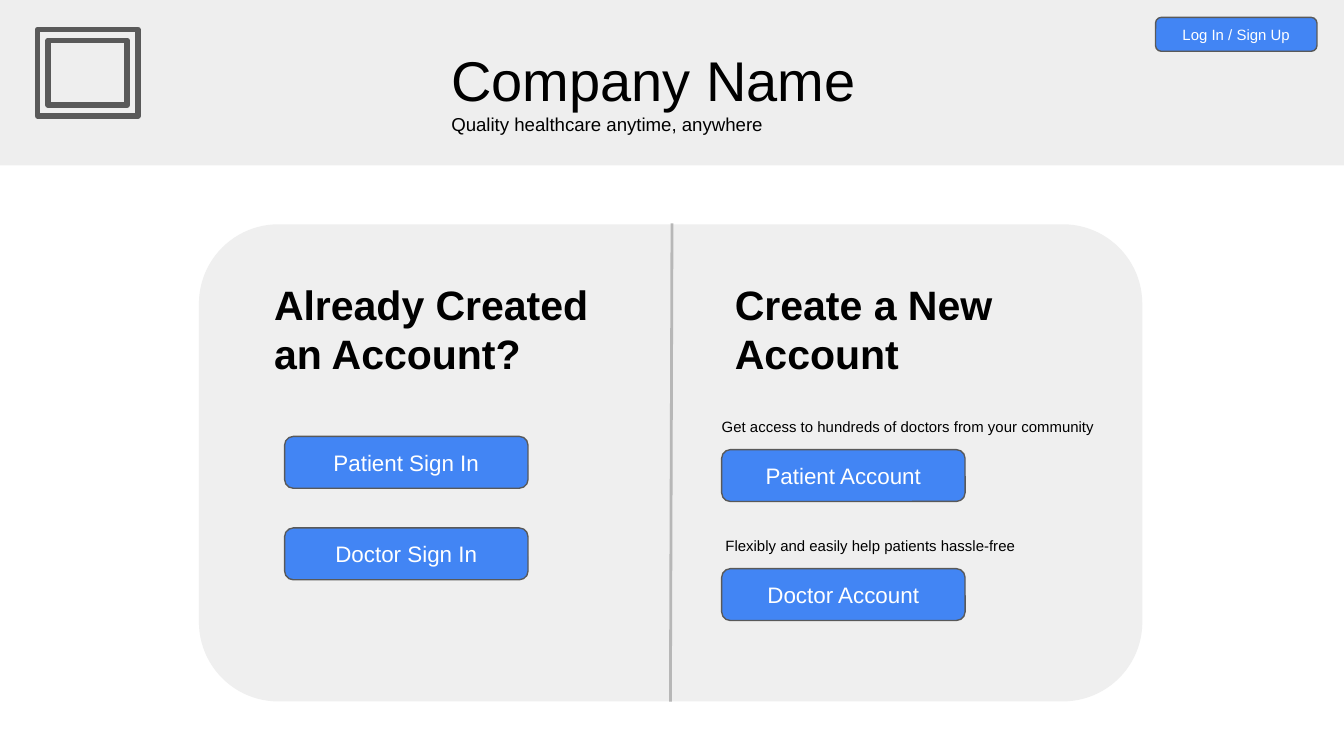
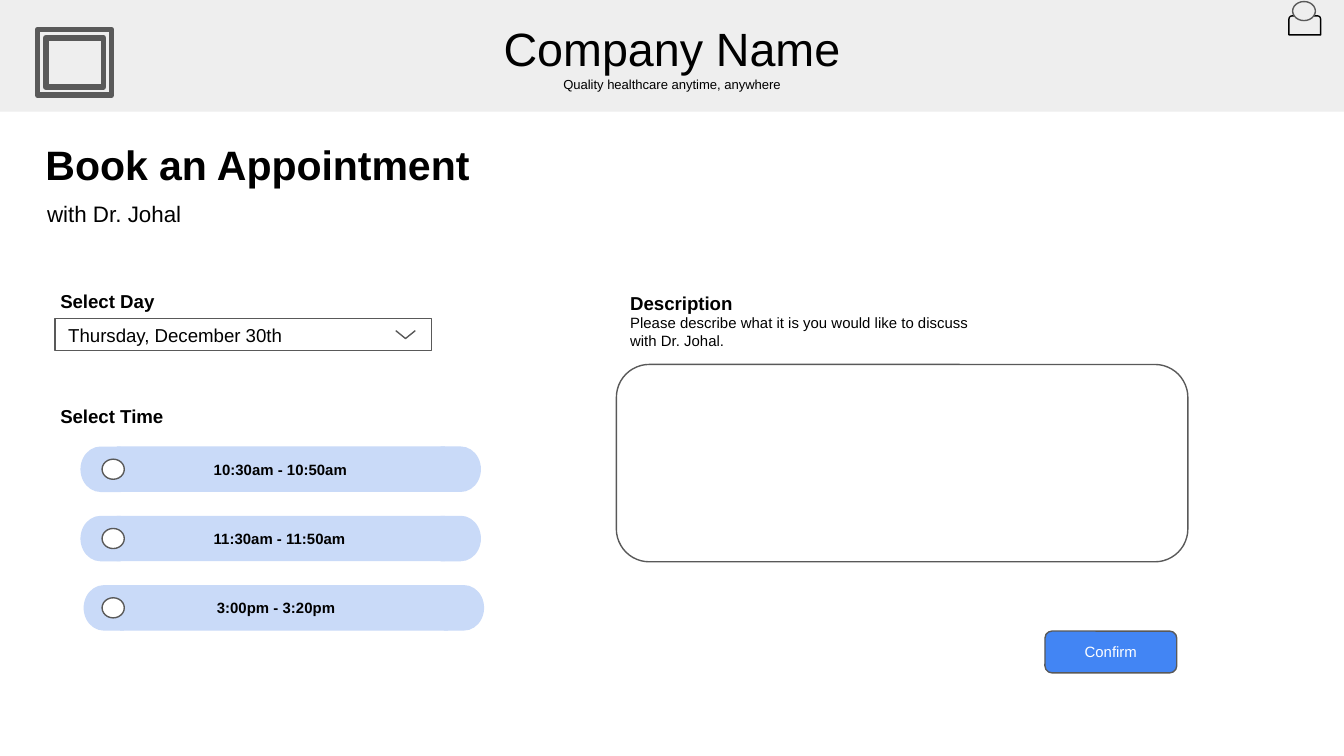
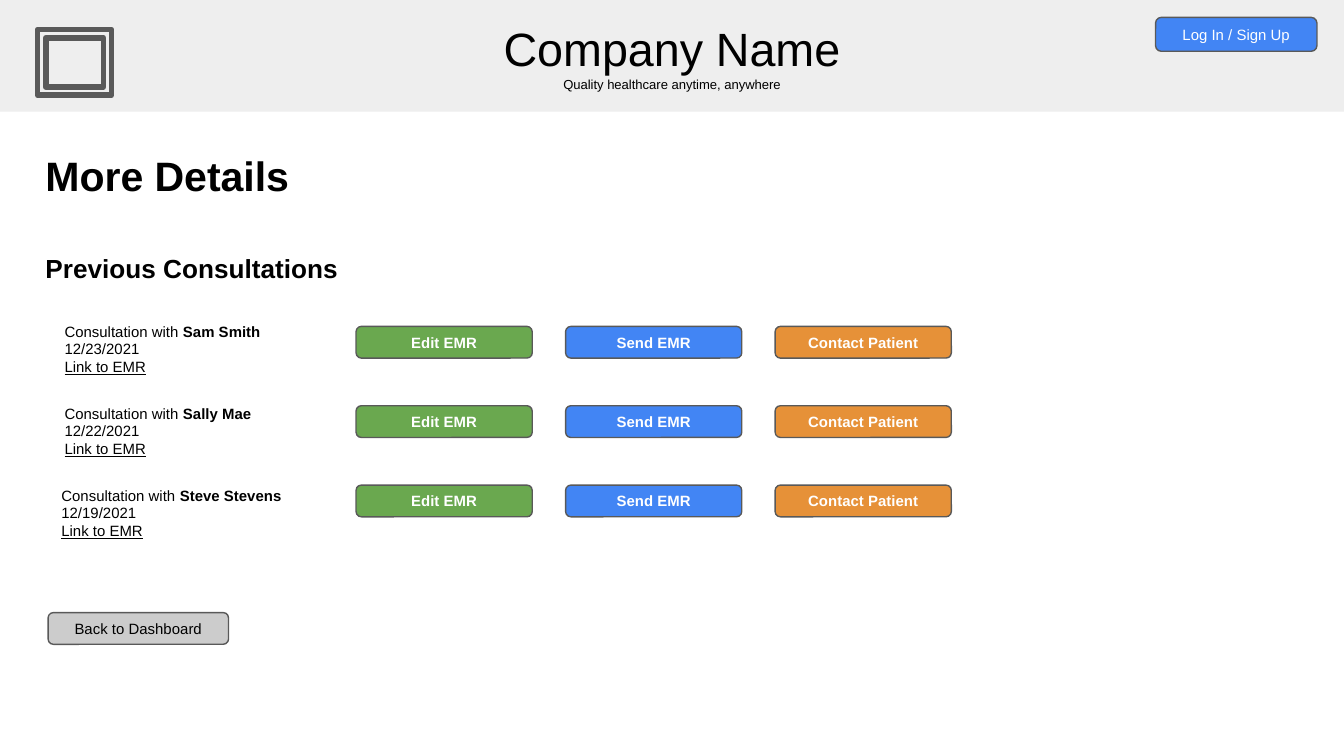
from lxml import etree
from pptx import Presentation
from pptx.dml.color import RGBColor
from pptx.enum.shapes import MSO_CONNECTOR, MSO_SHAPE
from pptx.enum.text import MSO_ANCHOR, MSO_AUTO_SIZE, PP_ALIGN
from pptx.oxml.ns import qn
from pptx.util import Cm, Pt

FONT = "Arial"
BLACK = RGBColor(0x00, 0x00, 0x00)
WHITE = RGBColor(0xFF, 0xFF, 0xFF)
BAND_GREY = RGBColor(0xEE, 0xEE, 0xEE)
PANEL_GREY = RGBColor(0xEF, 0xEF, 0xEF)
DIVIDER_GREY = RGBColor(0xB7, 0xB7, 0xB7)
BACK_GREY = RGBColor(0xCC, 0xCC, 0xCC)
OUTLINE = RGBColor(0x59, 0x59, 0x59)
BLUE = RGBColor(0x42, 0x85, 0xF4)
PALE_BLUE = RGBColor(0xC9, 0xDA, 0xF8)
GREEN = RGBColor(0x6A, 0xA8, 0x4F)
ORANGE = RGBColor(0xE6, 0x91, 0x38)

RECT = MSO_SHAPE.RECTANGLE
ROUNDED = MSO_SHAPE.ROUNDED_RECTANGLE
ROUND_TOP = MSO_SHAPE.ROUND_2_SAME_RECTANGLE
OVAL = MSO_SHAPE.OVAL
FRAME = MSO_SHAPE.FRAME
DELAY = MSO_SHAPE.FLOWCHART_DELAY
STRAIGHT = MSO_CONNECTOR.STRAIGHT
LEFT, CENTER = PP_ALIGN.LEFT, PP_ALIGN.CENTER
MIDDLE = MSO_ANCHOR.MIDDLE
GROW = MSO_AUTO_SIZE.SHAPE_TO_FIT_TEXT

INSET = 0.25


def style_font(font, size, bold=False, color=BLACK):
    """Set the shared typeface with a size, weight and colour."""
    font.name = FONT
    font.size = Pt(size)
    font.bold = bold
    font.color.rgb = color


def write(frame, lines, align=LEFT, color=BLACK, indent=0):
    """Fill a text frame with (text, size, bold) lines."""
    frame.word_wrap = True
    frame.margin_left = Cm(INSET + indent)
    frame.margin_right = frame.margin_top = frame.margin_bottom = Cm(INSET)
    for index, (text, size, bold) in enumerate(lines):
        paragraph = frame.paragraphs[0] if index == 0 else frame.add_paragraph()
        paragraph.alignment = align
        paragraph.add_run().text = text
        style_font(paragraph.font, size, bold, color)


def add_label(slide, box, *lines, align=LEFT):
    """Add a text box that grows with its lines and return its frame."""
    frame = slide.shapes.add_textbox(*map(Cm, box)).text_frame
    write(frame, lines, align)
    frame.auto_size = GROW
    return frame


def add_block(shapes, kind, box, fill, outline=None, weight=0.75):
    """Add a flat preset shape, outlined only when a colour is given."""
    block = shapes.add_shape(kind, *map(Cm, box))
    block.shadow.inherit = False
    block.fill.solid()
    block.fill.fore_color.rgb = fill
    if outline is None:
        block.line.fill.background()
    else:
        block.line.color.rgb = outline
        block.line.width = Pt(weight)
    return block


def add_button(slide, box, caption, size=8, bold=False, fill=BLUE, color=WHITE):
    """Add a rounded button with a centred caption."""
    button = add_block(slide.shapes, ROUNDED, box, fill, OUTLINE)
    button.text_frame.vertical_anchor = MIDDLE
    write(button.text_frame, [(caption, size, bold)], CENTER, color)


def add_header(slide, band_height, title_top, title_height, sizes, logo_size, align):
    """Add the grey band with the company name, tagline and logo frame."""
    add_block(slide.shapes, RECT, (-0.08, -0.3, 25.48, band_height), BAND_GREY)
    name_size, tagline_size = sizes
    add_label(slide, (8.28, title_top, 8.84, title_height),
              ("Company Name", name_size, False),
              ("Quality healthcare anytime, anywhere", tagline_size, False),
              align=align)
    add_block(slide.shapes, FRAME, (0.71, 0.56, *logo_size), BAND_GREY, OUTLINE, 3)


def add_compact_header(slide):
    """Add the lower header of the inner pages."""
    add_header(slide, 2.41, 0.13, 1.88, (25, 7), (1.4, 1.24), CENTER)


def add_login_button(slide):
    """Add the log-in button at the top right."""
    add_button(slide, (21.84, 0.33, 3.05, 0.64), "Log In / Sign Up")


def add_divider(slide, start, end):
    """Add a thin grey line between two points."""
    divider = slide.shapes.add_connector(STRAIGHT, *map(Cm, start + end))
    divider.line.color.rgb = DIVIDER_GREY
    divider.line.width = Pt(1.5)
    etree.SubElement(divider._element.spPr, qn("a:effectLst"))


def add_chevron(slide, left, top, width, height):
    """Add the open arrow of a drop-down list."""
    builder = slide.shapes.build_freeform(Cm(left), Cm(top))
    builder.add_line_segments(
        [(Cm(left + width / 2), Cm(top + height)), (Cm(left + width), Cm(top))],
        close=False)
    chevron = builder.convert_to_shape()
    chevron.shadow.inherit = False
    chevron.fill.background()
    chevron.line.color.rgb = OUTLINE
    chevron.line.width = Pt(0.75)


def add_time_slot(slide, left, top, hours):
    """Add a pill of a time span with its radio button."""
    pill = slide.shapes.add_group_shape().shapes
    add_block(pill, DELAY, (left, top, 0.76, 0.86), PALE_BLUE).rotation = 180
    span = add_block(pill, RECT, (left + 0.69, top, 6.2, 0.86), PALE_BLUE)
    span.text_frame.vertical_anchor = MIDDLE
    write(span.text_frame, [(hours, 8, True)], indent=1.58)
    add_block(pill, DELAY, (left + 6.81, top, 0.76, 0.86), PALE_BLUE)
    add_block(slide.shapes, OVAL, (1.93, top + 0.24, 0.42, 0.38), WHITE, OUTLINE)


def add_user_icon(slide):
    """Add the head and shoulders of the signed-in user."""
    user = slide.shapes.add_group_shape().shapes
    add_block(user, ROUND_TOP, (24.36, 0.3, 0.6, 0.36), BAND_GREY, BLACK)
    add_block(user, OVAL, (24.43, 0.03, 0.43, 0.36), BAND_GREY, OUTLINE)


def add_consultation(slide, left, top, patient, date):
    """Add one consultation with its patient, date and record link."""
    frame = add_label(slide, (left, top, 8, 1.55), ("Consultation with ", 8, False),
                      (date, 8, False), ("Link to EMR", 8, False))
    meeting, _, record = frame.paragraphs
    name = meeting.add_run()
    name.text = patient
    name.font.bold = True
    record.font.underline = True
    for run in record.runs:
        run.font.underline = True


def build_sign_in(slide):
    """Build the page for signing in or creating an account."""
    add_header(slide, 3.43, 0.61, 2.24, (30, 10), (1.9, 1.63), LEFT)
    add_login_button(slide)
    add_block(slide.shapes, ROUNDED, (3.76, 4.24, 17.83, 9.02), PANEL_GREY)
    add_divider(slide, (12.7, 4.22), (12.67, 13.26))
    for left, heading in ((4.93, "Already Created an Account?"),
                          (13.64, "Create a New Account")):
        add_label(slide, (left, 5.03, 7.04, 2.39), (heading, 22, True))
    for left, top, caption in ((5.38, 8.25, "Patient Sign In"),
                               (5.38, 9.98, "Doctor Sign In"),
                               (13.64, 8.5, "Patient Account"),
                               (13.64, 10.75, "Doctor Account")):
        add_button(slide, (left, top, 4.6, 0.98), caption, size=12)
    for left, top, benefit in (
            (13.39, 7.72, "Get access to hundreds of doctors from your community"),
            (13.46, 9.98, "Flexibly and easily help patients hassle-free")):
        add_label(slide, (left, top, 8, 0.86), (benefit, 8, False))


def build_booking(slide):
    """Build the page for booking an appointment."""
    add_compact_header(slide)
    add_button(slide, (19.75, 11.93, 2.49, 0.79), "Confirm")
    add_label(slide, (0.61, 2.39, 9.5, 1.45), ("Book an Appointment", 22, True))
    add_label(slide, (0.64, 3.53, 8, 1.02), ("with Dr. Johal", 12, False))

    day = add_block(slide.shapes, RECT, (1.04, 6.02, 7.12, 0.61), WHITE, OUTLINE)
    day.text_frame.vertical_anchor = MIDDLE
    write(day.text_frame, [("Thursday, December 30th", 10, False)])
    add_chevron(slide, 7.48, 6.25, 0.37, 0.15)
    for top, prompt in ((5.26, "Select Day"), (7.44, "Select Time")):
        add_label(slide, (0.89, top, 3.91, 0.94), (prompt, 10, True))

    slots = ((1.52, "10:30am - 10:50am"), (1.52, "11:30am - 11:50am"),
             (1.58, "3:00pm - 3:20pm"))
    for row, (left, hours) in enumerate(slots):
        add_time_slot(slide, left, 8.44 + row * 1.31, hours)

    add_label(slide, (11.66, 5.26, 7.26, 1.63), ("Description", 10, True),
              ("Please describe what it is you would like to discuss with Dr. Johal.",
               8, False))
    add_block(slide.shapes, ROUNDED, (11.65, 6.89, 10.8, 3.73), WHITE, OUTLINE)
    add_user_icon(slide)


def build_details(slide):
    """Build the page listing previous consultations."""
    add_compact_header(slide)
    add_login_button(slide)
    add_label(slide, (0.61, 2.59, 8.56, 1.45), ("More Details", 22, True))
    add_label(slide, (0.61, 4.52, 7.92, 1.12), ("Previous Consultations", 14, True))

    consultations = ((0.97, "Sam Smith", "12/23/2021"),
                     (0.97, "Sally Mae", "12/22/2021"),
                     (0.91, "Steve Stevens", "12/19/2021"))
    actions = (("Edit EMR", GREEN), ("Send EMR", BLUE), ("Contact Patient", ORANGE))
    for row, (left, patient, date) in enumerate(consultations):
        add_consultation(slide, left, 5.84 + row * 1.55, patient, date)
        for column, (caption, fill) in enumerate(actions):
            box = (6.73 + column * 3.96, 6.17 + row * 1.5, 3.33, 0.6)
            add_button(slide, box, caption, bold=True, fill=fill)
    add_button(slide, (0.91, 11.58, 3.41, 0.6), "Back to Dashboard",
               fill=BACK_GREY, color=BLACK)


def main():
    """Build the three pages and save the deck."""
    deck = Presentation()
    deck.slide_width, deck.slide_height = Cm(25.4), Cm(14.29)
    blank = deck.slide_layouts[6]
    for build in (build_sign_in, build_booking, build_details):
        build(deck.slides.add_slide(blank))
    deck.save("out.pptx")


if __name__ == "__main__":
    main()
